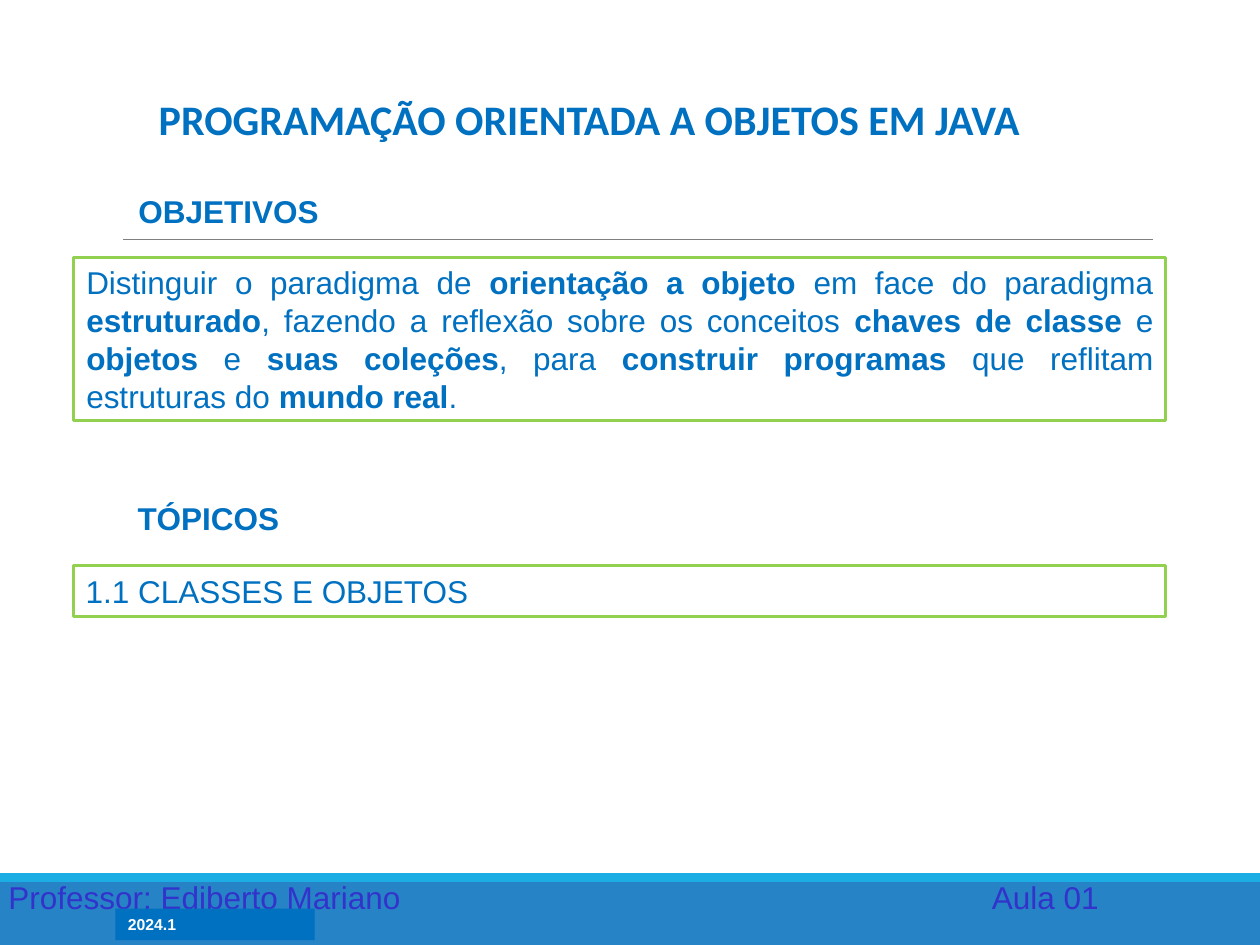
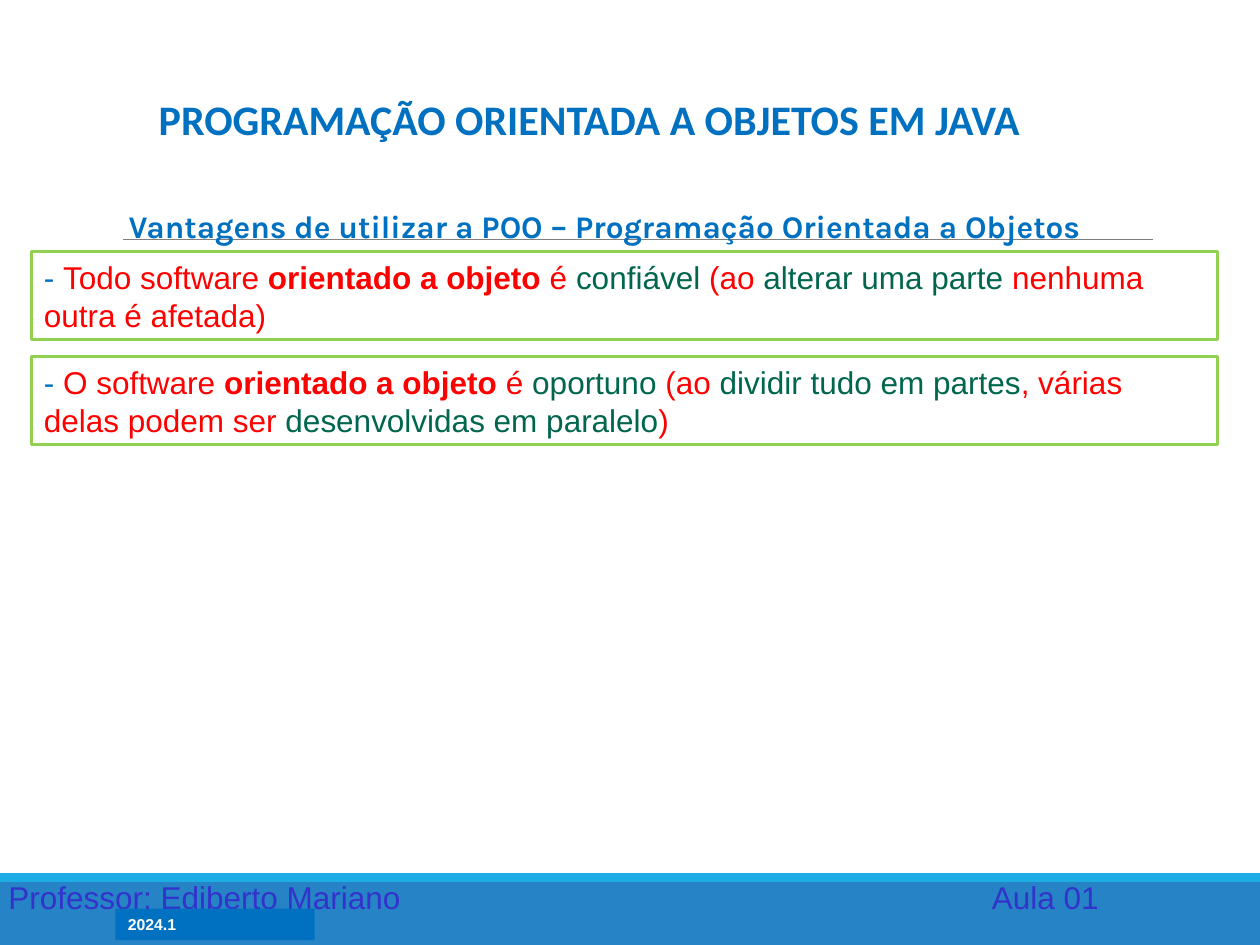
import pptx
import pptx.util
import pptx.dml.color
import pptx.enum.shapes
import pptx.enum.text
import pptx.oxml
import pptx.oxml.ns
import lxml.etree

Pt = pptx.util.Pt
ALIGN = pptx.enum.text.PP_ALIGN
ANCHOR = pptx.enum.text.MSO_ANCHOR
AUTO_SIZE = pptx.enum.text.MSO_AUTO_SIZE

COLOURS = {
    "blue": "0070C0",
    "band": "2683C6",
    "stripe": "1CADE4",
    "rule": "7F7F7F",
    "border": "92D050",
    "footer": "3333CC",
    "red": "FF0000",
    "green": "00664D",
    "white": "FFFFFF",
}
COURSE = "PROGRAMAÇÃO ORIENTADA A OBJETOS EM JAVA"
OBJECTIVE = [
    ("Distinguir o paradigma de ", "blue", False),
    ("orientação a objeto ", "blue", True),
    ("em face do paradigma ", "blue", False),
    ("estruturado", "blue", True),
    (", fazendo a reflexão sobre os conceitos ", "blue", False),
    ("chaves de classe", "blue", True),
    (" e ", "blue", False),
    ("objetos", "blue", True),
    (" e ", "blue", False),
    ("suas coleções", "blue", True),
    (", para ", "blue", False),
    ("construir programas", "blue", True),
    (" que reflitam estruturas do ", "blue", False),
    ("mundo real", "blue", True),
    (".", "blue", False),
]
ADVANTAGES = [
    ("Todo software ", [
        ("confiável", "green", False),
        (" (ao ", "red", False),
        ("alterar uma parte ", "green", False),
        ("nenhuma outra é afetada)", "red", False),
    ]),
    ("O software ", [
        ("oportuno", "green", False),
        (" (ao ", "red", False),
        ("dividir tudo em partes", "green", False),
        (", várias delas podem ser ", "red", False),
        ("desenvolvidas em paralelo", "green", False),
        (")", "red", False),
    ]),
]


def rgb(colour):
    return pptx.dml.color.RGBColor.from_string(COLOURS[colour])


def write(shape, runs, size=18, font="Arial", align=ALIGN.LEFT,
          anchor=ANCHOR.TOP, fit=AUTO_SIZE.SHAPE_TO_FIT_TEXT):
    frame = shape.text_frame
    frame.word_wrap = True
    frame.auto_size = fit
    frame.vertical_anchor = anchor
    frame.margin_left = frame.margin_right = Pt(7.2)
    frame.margin_top = frame.margin_bottom = Pt(3.6)
    paragraph = frame.paragraphs[0]
    paragraph.alignment = align
    for text, colour, bold in runs:
        run = paragraph.add_run()
        run.text = text
        run.font.name = font
        run.font.size = Pt(size)
        run.font.bold = bold
        run.font.color.rgb = rgb(colour)


def add_rectangle(slide, left, top, width, height, fill=None, border=None):
    rectangle = slide.shapes.add_shape(
        pptx.enum.shapes.MSO_SHAPE.RECTANGLE,
        Pt(left), Pt(top), Pt(width), Pt(height))
    rectangle.shadow.inherit = False
    if fill:
        rectangle.fill.solid()
        rectangle.fill.fore_color.rgb = rgb(fill)
    else:
        rectangle.fill.background()
    if border:
        rectangle.line.color.rgb = rgb(border)
        rectangle.line.width = Pt(1.75)
    else:
        rectangle.line.fill.background()
    return rectangle


def add_framed_text(slide, left, top, width, height, runs, align=ALIGN.LEFT):
    write(add_rectangle(slide, left, top, width, height, border="border"),
          runs, align=align)


def add_heading(slide, left, top, width, text, font="Arial"):
    heading = slide.shapes.add_textbox(Pt(left), Pt(top), Pt(width), Pt(29))
    write(heading, [(text, "blue", True)], font=font)


def add_rule(slide):
    rule = slide.shapes.add_connector(
        pptx.enum.shapes.MSO_CONNECTOR.STRAIGHT,
        Pt(70.5), Pt(136.8), Pt(659), Pt(136.8))
    rule.line.color.rgb = rgb("rule")
    rule.line.width = Pt(0.5)
    lxml.etree.SubElement(rule._element.spPr, pptx.oxml.ns.qn("a:effectLst"))


def add_footer(slide):
    add_rectangle(slide, 0, 499, 720, 41, "band")
    add_rectangle(slide, 0, 499, 720, 5, "stripe")
    credits = slide.shapes.add_textbox(Pt(0), Pt(498.4), Pt(646), Pt(29))
    properties = credits.text_frame.paragraphs[0]._p.get_or_add_pPr()
    tabs = lxml.etree.SubElement(properties, pptx.oxml.ns.qn("a:tabLst"))
    lxml.etree.SubElement(tabs, pptx.oxml.ns.qn("a:tab"),
                          pos=str(Pt(562)), algn="l")
    write(credits, [("Professor: Ediberto Mariano\tAula 01", "footer", False)])
    credits.text_frame.margin_left = Pt(4.8)
    term = add_rectangle(slide, 66, 519.2, 113.8, 18, "blue")
    write(term, [("2024.1", "white", True)], size=9)


def add_lesson_slide(deck):
    slide = deck.slides.add_slide(deck.slide_layouts[5])
    title = slide.shapes.title
    title.left, title.top = Pt(74.2), Pt(48.2)
    title.width, title.height = Pt(525), Pt(37.5)
    write(title, [(COURSE, "blue", True)], size=24, font="Calibri",
          align=ALIGN.CENTER, anchor=ANCHOR.BOTTOM, fit=AUTO_SIZE.NONE)
    add_rule(slide)
    add_footer(slide)
    return slide


def add_objectives_slide(deck):
    slide = add_lesson_slide(deck)
    add_heading(slide, 72, 106, 624, "OBJETIVOS")
    add_framed_text(slide, 42.2, 147, 624, 93.6, OBJECTIVE, ALIGN.JUSTIFY)
    add_heading(slide, 71.5, 281.8, 624, "TÓPICOS")
    add_framed_text(slide, 41.8, 323.2, 624, 29,
                    [("1.1 CLASSES E OBJETOS", "blue", False)])


def add_advantages_slide(deck):
    slide = add_lesson_slide(deck)
    add_heading(slide, 66.5, 114.8, 640,
                "Vantagens de utilizar a POO – Programação Orientada a Objetos",
                font="Karla")
    for row, (subject, quality) in enumerate(ADVANTAGES):
        runs = [("- ", "blue", False), (subject, "red", False),
                ("orientado a objeto", "red", True), (" é ", "red", False)]
        add_framed_text(slide, 18, 143.8 + 60 * row, 678, 50.4, runs + quality)


def main():
    deck = pptx.Presentation()
    deck.slide_width, deck.slide_height = Pt(720), Pt(540)
    add_objectives_slide(deck)
    add_advantages_slide(deck)
    deck.save("out.pptx")


if __name__ == "__main__":
    main()
